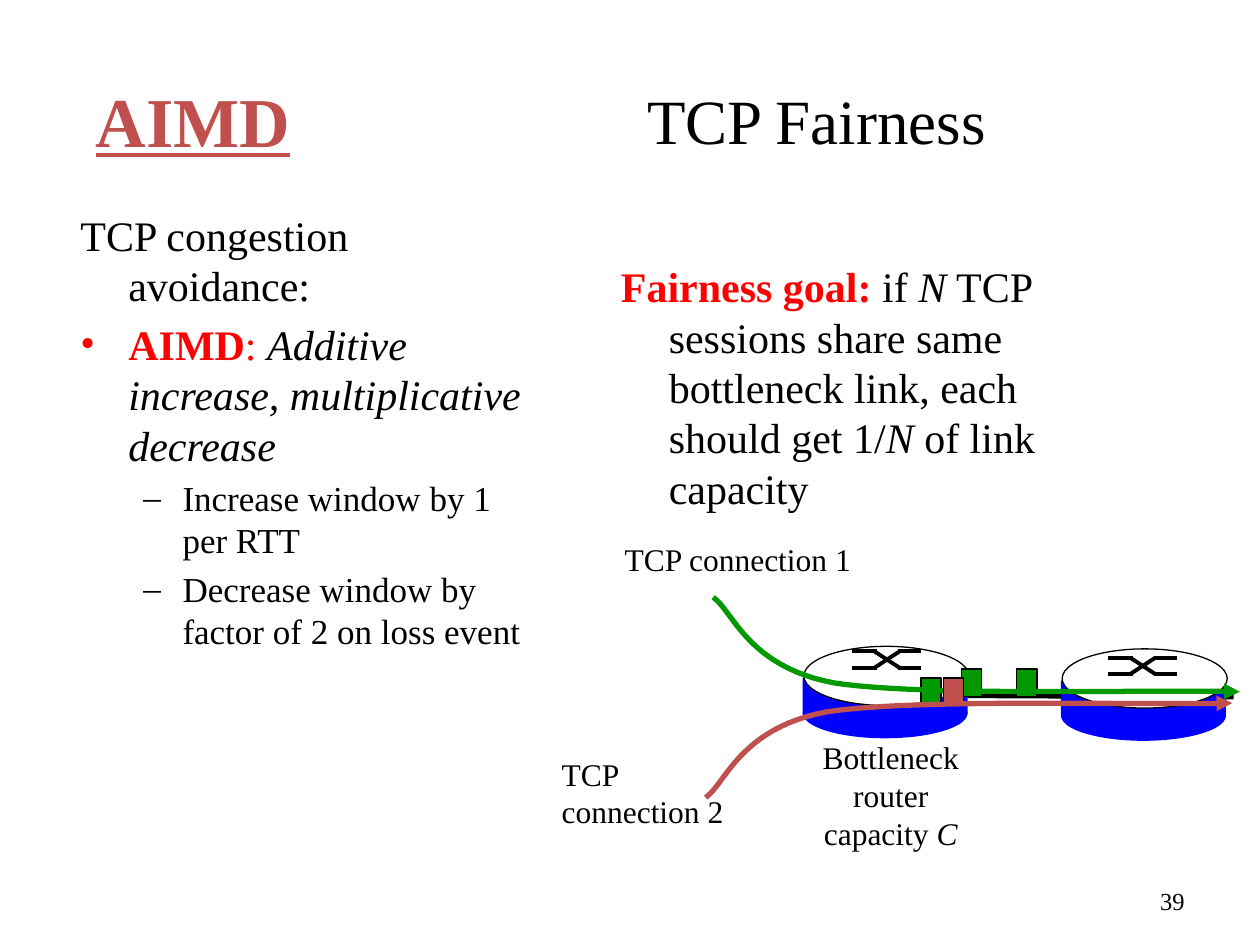
from dataclasses import dataclass
from typing import Optional

from lxml import etree
from pptx import Presentation
from pptx import util as u
from pptx.dml.color import RGBColor
from pptx.enum import shapes, text
from pptx.oxml import ns

BLACK = RGBColor(0x00, 0x00, 0x00)
WHITE = RGBColor(0xFF, 0xFF, 0xFF)
RED = RGBColor(0xFF, 0x00, 0x00)
BLUE = RGBColor(0x00, 0x00, 0xFF)
GREEN = RGBColor(0x00, 0x99, 0x00)
BRICK = RGBColor(0xC0, 0x50, 0x4D)
FONT = "Times New Roman"
ALIGN = text.PP_ALIGN
MIDDLE = text.MSO_ANCHOR.MIDDLE
OVAL = shapes.MSO_SHAPE.OVAL
RECTANGLE = shapes.MSO_SHAPE.RECTANGLE


@dataclass
class Run:
    words: str
    color: RGBColor = BLACK
    bold: bool = False
    italic: bool = False
    underline: bool = False


@dataclass
class Para:
    runs: list[Run]
    size: float = 18
    align: ALIGN = ALIGN.LEFT
    margin: float = 0
    indent: float = 0
    bullet: str = ""
    bullet_color: RGBColor = BLACK
    before: float = 0


@dataclass
class TextBox:
    left: float
    top: float
    width: float
    height: float
    paragraphs: list[Para]
    anchor: text.MSO_ANCHOR = text.MSO_ANCHOR.TOP
    wrap: bool = True


@dataclass
class Router:
    left: float
    top: float
    cross_left: float
    cross_top: float


@dataclass
class Packet:
    left: float
    top: float
    color: RGBColor = GREEN


def add_text(slide, box: TextBox) -> None:
    shape = slide.shapes.add_textbox(
        *map(u.Inches, (box.left, box.top, box.width, box.height)))
    frame = shape.text_frame
    frame.word_wrap = box.wrap
    frame.vertical_anchor = box.anchor
    for index, item in enumerate(box.paragraphs):
        paragraph = frame.paragraphs[0] if index == 0 else frame.add_paragraph()
        paragraph.alignment = item.align
        paragraph.space_before = u.Pt(item.before)
        properties = paragraph._p.get_or_add_pPr()
        properties.set("marL", str(u.Inches(item.margin)))
        properties.set("indent", str(u.Inches(item.indent)))
        if item.bullet:
            color = etree.SubElement(properties, ns.qn("a:buClr"))
            etree.SubElement(color, ns.qn("a:srgbClr"), val=str(item.bullet_color))
            etree.SubElement(properties, ns.qn("a:buFont"), typeface=FONT)
            etree.SubElement(properties, ns.qn("a:buChar"), char=item.bullet)
        for part in item.runs:
            run = paragraph.add_run()
            run.text = part.words
            font = run.font
            font.name, font.size = FONT, u.Pt(item.size)
            font.bold, font.italic = part.bold, part.italic
            font.underline = part.underline
            font.color.rgb = part.color


def add_block(slide, kind, left: float, top: float, width: float, height: float,
              fill: RGBColor, outline: Optional[RGBColor] = None) -> None:
    shape = slide.shapes.add_shape(kind, *map(u.Inches, (left, top, width, height)))
    shape.shadow.inherit = False
    shape.fill.solid()
    shape.fill.fore_color.rgb = fill
    if outline is None:
        shape.line.fill.background()
    else:
        shape.line.color.rgb = outline
        shape.line.width = u.Pt(0.75)


def add_line(slide, x1: float, y1: float, x2: float, y2: float, width: float) -> None:
    line = slide.shapes.add_connector(
        shapes.MSO_CONNECTOR.STRAIGHT, *map(u.Inches, (x1, y1, x2, y2)))
    line.line.color.rgb = BLACK
    line.line.width = u.Pt(width)
    etree.SubElement(line._element.spPr, ns.qn("a:effectLst"))


def add_router(slide, router: Router) -> None:
    x, y = router.left, router.top
    add_block(slide, OVAL, x, y + 0.33, 1.31, 0.4, BLUE)
    add_block(slide, RECTANGLE, x, y + 0.25, 1.31, 0.29, BLUE)
    add_block(slide, OVAL, x + 0.01, y, 1.31, 0.47, WHITE, BLACK)
    # Two mirrored traces form the switch symbol
    x, high = router.cross_left, router.cross_top
    low = high + 0.13
    for start, end in ((high, low), (low, high)):
        add_line(slide, x, start, x + 0.2, start, 2.25)
        add_line(slide, x + 0.18, start, x + 0.38, end, 2.25)
        add_line(slide, x + 0.37, end, x + 0.55, end, 2.25)


def add_packet(slide, packet: Packet) -> None:
    add_block(slide, RECTANGLE, packet.left, packet.top, 0.16, 0.22, packet.color, BLACK)


def curve_points(controls, steps: int = 24):
    """Points along one cubic curve, after its start."""
    for step in range(1, steps + 1):
        t = step / steps
        weights = ((1 - t) ** 3, 3 * t * (1 - t) ** 2, 3 * t * t * (1 - t), t ** 3)
        yield tuple(sum(w * c[axis] for w, c in zip(weights, controls)) for axis in (0, 1))


def add_flow(slide, controls, color: RGBColor) -> None:
    points = [*curve_points(controls[:4]), *curve_points(controls[3:])]
    builder = slide.shapes.build_freeform(*map(u.Inches, controls[0]))
    builder.add_line_segments([(u.Inches(x), u.Inches(y)) for x, y in points], close=False)
    shape = builder.convert_to_shape()
    shape.shadow.inherit = False
    shape.fill.background()
    shape.line.color.rgb = color
    shape.line.width = u.Pt(3)
    etree.SubElement(shape.line._get_or_add_ln(), ns.qn("a:tailEnd"), type="triangle")


HANGING = {"size": 24, "margin": 0.38, "indent": -0.38}
DASHED = {"size": 20, "margin": 0.81, "indent": -0.31, "bullet": "–", "before": 4}

TEXTS = [
    TextBox(4.69, 0.32, 3.58, 1.25,
            [Para([Run("TCP Fairness")], 36, ALIGN.CENTER)], MIDDLE),
    TextBox(0.66, 0.32, 3.58, 1.25,
            [Para([Run("AIMD", BRICK, bold=True, underline=True)], 40)], MIDDLE),
    TextBox(4.83, 2.02, 4.17, 2.4, [Para([
        Run("Fairness goal:", RED, bold=True), Run(" if "), Run("N", italic=True),
        Run(" TCP sessions share same bottleneck link, each should get 1/"),
        Run("N", italic=True), Run(" of link capacity")], **HANGING)]),
    TextBox(0.54, 1.61, 3.78, 5.08, [
        Para([Run("TCP congestion avoidance:")], **HANGING),
        Para([Run("AIMD", RED, bold=True), Run(": ", RED),
              Run("Additive increase, multiplicative decrease", italic=True)],
             bullet="•", bullet_color=RED, before=4.8, **HANGING),
        Para([Run("Increase window by 1 per RTT")], **DASHED),
        Para([Run("Decrease window by factor of 2 on loss event")], **DASHED)]),
    TextBox(7.17, 6.95, 2.33, 0.4, [Para([Run("39")], 14, ALIGN.RIGHT)], MIDDLE),
    TextBox(4.86, 4.24, 2.02, 0.4, [Para([Run("TCP connection 1")])], wrap=False),
    TextBox(6.4, 5.81, 1.34, 1.01, [
        Para([Run("Bottleneck")], align=ALIGN.CENTER),
        Para([Run("router")], align=ALIGN.CENTER),
        Para([Run("capacity "), Run("C", italic=True)], align=ALIGN.CENTER)], wrap=False),
    TextBox(4.36, 5.94, 1.5, 0.71,
            [Para([Run("TCP")]), Para([Run("connection 2")])], wrap=False),
]
ROUTERS = [Router(6.37, 5.13, 6.76, 5.17), Router(8.42, 5.15, 8.79, 5.22)]
PACKETS = [Packet(8.07, 5.31), Packet(7.31, 5.38), Packet(7.63, 5.31)]
FLOW_1 = [(5.66, 4.74), (5.82, 4.85), (5.93, 5.29), (6.62, 5.42),
          (7.32, 5.53), (9.17, 5.47), (9.84, 5.49)]
# The second connection mirrors the first, slightly to the left
FLOW_2 = [(x - 0.06, 11.07 - y) for x, y in FLOW_1]


def main() -> None:
    presentation = Presentation()
    presentation.slide_width, presentation.slide_height = u.Inches(10), u.Inches(7.5)
    slide = presentation.slides.add_slide(presentation.slide_layouts[6])

    # Titles, body text and labels
    for box in TEXTS:
        add_text(slide, box)

    # Bottleneck link between the routers
    add_line(slide, 7.68, 5.52, 9.79, 5.53, 3)
    for router in ROUTERS:
        add_router(slide, router)

    # Packets and the two connections
    for packet in PACKETS:
        add_packet(slide, packet)
    add_flow(slide, FLOW_1, GREEN)
    add_packet(slide, Packet(7.49, 5.38, BRICK))
    add_flow(slide, FLOW_2, BRICK)

    presentation.save("out.pptx")


if __name__ == "__main__":
    main()
